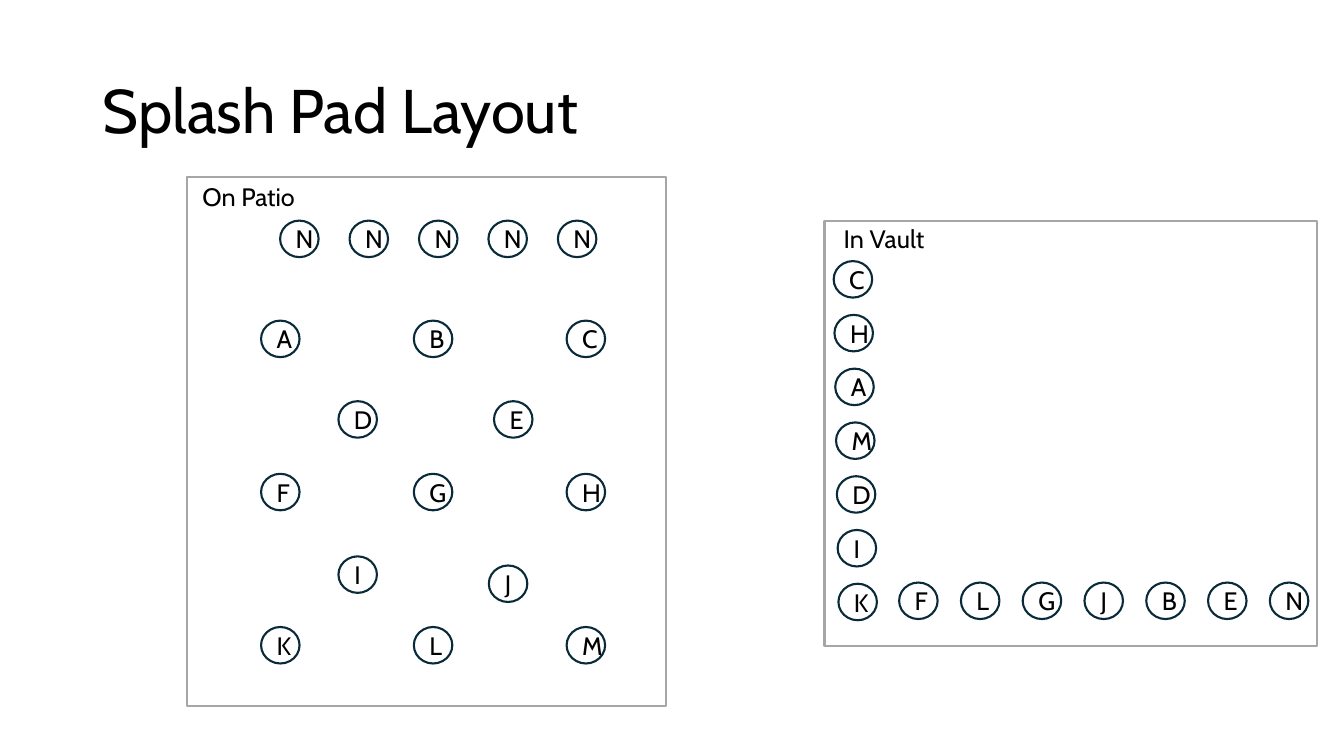
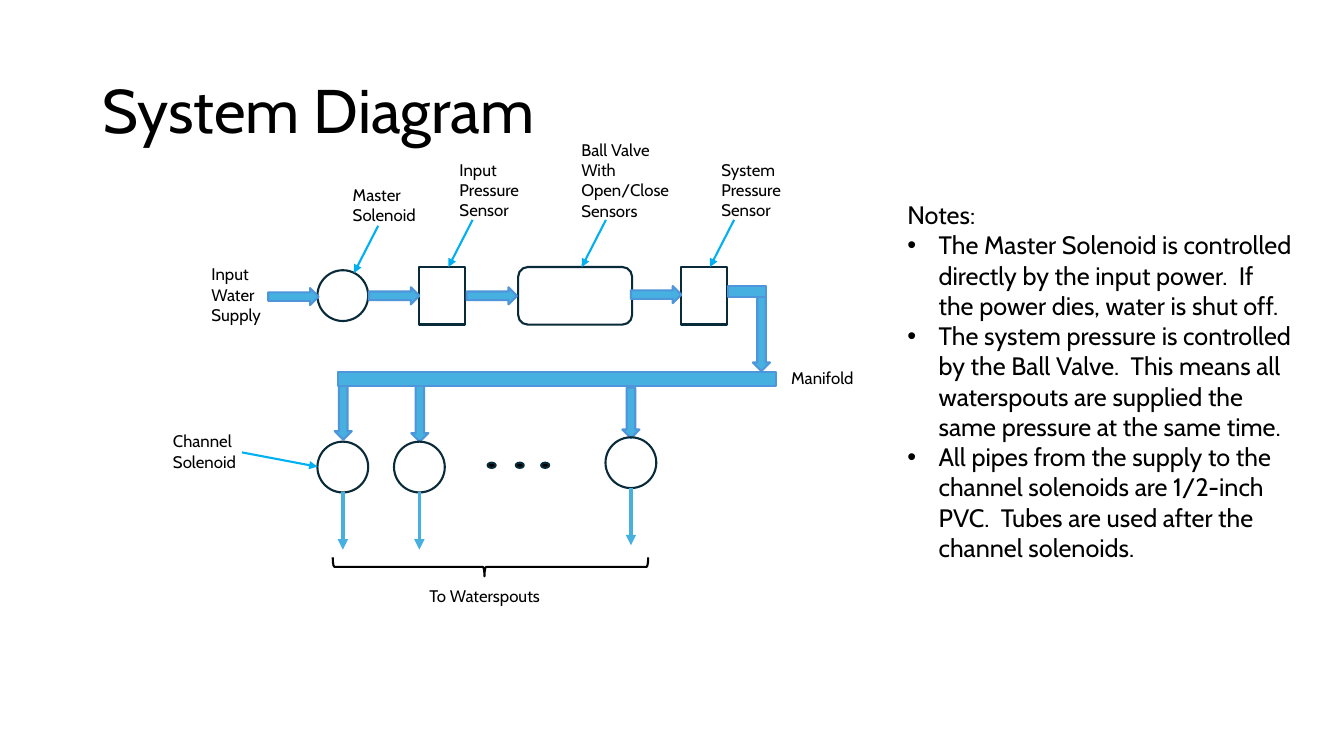
import pptx
import pptx.dml.color
import pptx.enum.shapes
import pptx.enum.text
import pptx.oxml
import pptx.oxml.ns
import pptx.util

Cm = pptx.util.Cm
Pt = pptx.util.Pt
KIND = pptx.enum.shapes.MSO_SHAPE
ALIGN = pptx.enum.text.PP_ALIGN
ANCHOR = pptx.enum.text.MSO_ANCHOR
color = pptx.dml.color.RGBColor.from_string

FONT = "Cabin"
BLACK, NAVY, GREY = "000000", "092A39", "A6A6A6"
WATER, WATER_EDGE, LEADER = "46B1E1", "4E95D9", "00B0F0"
PIPE = {"fill": WATER, "line": WATER_EDGE}


def write(frame, paragraphs, size, align=ALIGN.LEFT, **spacing):
    """Fill a text frame with one run per paragraph in the deck's font."""
    for number, words in enumerate(paragraphs):
        paragraph = frame.add_paragraph() if number else frame.paragraphs[0]
        run = paragraph.add_run()
        run.text = words
        run.font.name, run.font.size = FONT, Pt(size)
        run.font.color.rgb = color(BLACK)
        for key, value in {"alignment": align, **spacing}.items():
            setattr(paragraph, key, value)


def draw(slide, kind, x, y, width, height, fill=None, line=NAVY, turn=0, letter=None):
    """Add a preset shape, in centimetres, unfilled unless a fill is given."""
    shape = slide.shapes.add_shape(kind, Cm(x), Cm(y), Cm(width), Cm(height))
    shape.shadow.inherit = False
    shape.rotation = turn
    if fill:
        shape.fill.solid()
        shape.fill.fore_color.rgb = color(fill)
    else:
        shape.fill.background()
    shape.line.color.rgb = color(line)
    shape.line.width = Pt(1.5)
    if letter:
        shape.text_frame.vertical_anchor = ANCHOR.MIDDLE
        write(shape.text_frame, [letter], 18, ALIGN.CENTER)
    return shape


deck = pptx.Presentation()
deck.slide_width, deck.slide_height = Cm(33.87), Cm(19.05)

# Slides and titles
slides = []
for layout, heading in [(5, "Splash Pad Layout"), (1, "System Diagram")]:
    slide = deck.slides.add_slide(deck.slide_layouts[layout])
    title = slide.shapes.title
    place = {"left": 2.33, "top": 1.01, "width": 29.21, "height": 3.68}
    for key, value in place.items():
        setattr(title, key, Cm(value))
    title.text_frame.vertical_anchor = ANCHOR.MIDDLE
    title.text_frame.auto_size = pptx.enum.text.MSO_AUTO_SIZE.NONE
    write(title.text_frame, [heading], 44, line_spacing=0.9)
    slides.append(slide)
layout_slide, system_slide = slides

# Splash pad layout: the two areas
for area in [(4.72, 4.45, 12.07, 13.34), (20.78, 5.56, 12.42, 10.72)]:
    draw(layout_slide, KIND.RECTANGLE, *area, line=GREY)

# Rows of spouts: letters, first left, top, step right, step down
spout_rows = [
    ("NNNNN", 7.06, 5.56, 1.75, 0),
    ("ABC", 6.58, 8.08, 3.85, 0),
    ("DE", 8.53, 10.11, 3.92, 0),
    ("FGH", 6.58, 11.94, 3.85, 0),
    ("IJ", 8.53, 14.02, 3.79, 0.23),
    ("KLM", 6.58, 15.8, 3.85, 0),
    ("CHAMDIK", 21.01, 6.58, 0.02, 1.355),
    ("FLGJBEN", 22.66, 14.68, 1.557, 0),
]
for letters, left, top, step_right, step_down in spout_rows:
    for i, letter in enumerate(letters):
        draw(layout_slide, KIND.FLOWCHART_CONNECTOR, left + i * step_right,
             top + i * step_down, 0.97, 0.92, letter=letter)

# System diagram: supply line
draw(system_slide, KIND.FLOWCHART_CONNECTOR, 8, 6.81, 1.28, 1.28)
draw(system_slide, KIND.ROUNDED_RECTANGLE, 13.06, 6.73, 2.87, 1.45)
for sensor_left in (10.57, 17.17):
    draw(system_slide, KIND.RECTANGLE, sensor_left, 6.73, 1.16, 1.45)
for left, top in [(6.76, 7.26), (9.3, 7.24), (11.76, 7.24), (15.9, 7.21)]:
    draw(system_slide, KIND.RIGHT_ARROW, left, top, 1.27, 0.43, **PIPE)

# Pipes down to the manifold and on to the channels: centre, top, length
down_pipes = [(8.65, 9.68, 1.4), (10.58, 9.53, 1.6), (15.9, 9.77, 1.27),
              (19.19, 7.24, 2.11)]
for center, top, length in down_pipes:
    draw(system_slide, KIND.RIGHT_ARROW, center - length / 2,
         top + length / 2 - 0.215, length, 0.43, turn=90, **PIPE)
draw(system_slide, KIND.RECTANGLE, 8.53, 9.37, 11.02, 0.36, **PIPE)
draw(system_slide, KIND.RECTANGLE, 18.34, 7.21, 0.97, 0.28, **PIPE)

# Arrows: start, end, colour, width
arrows = [(6.1, 11.4, 8, 11.76, LEADER, 1.5)]
for x, y in [(9.53, 5.69), (11.91, 5.54), (15.27, 5.54), (18.5, 5.54)]:
    arrows.append((x, y, x - 0.61, y + 1.19, LEADER, 1.5))
for center, top in [(8.64, 11.13), (10.57, 11.13), (15.9, 11.02)]:
    draw(system_slide, KIND.FLOWCHART_CONNECTOR, center - 0.64, top, 1.28, 1.28)
    arrows.append((center, top + 1.27, center, top + 2.72, WATER, 2.5))
for x1, y1, x2, y2, ink, weight in arrows:
    arrow = system_slide.shapes.add_connector(
        pptx.enum.shapes.MSO_CONNECTOR.STRAIGHT, Cm(x1), Cm(y1), Cm(x2), Cm(y2))
    arrow.line.color.rgb = color(ink)
    arrow.line.width = Pt(weight)
    head = pptx.oxml.parse_xml(
        f'<a:tailEnd {pptx.oxml.ns.nsdecls("a")} type="triangle"/>')
    arrow.line._get_or_add_ln().append(head)
    no_shadow = pptx.oxml.parse_xml(f'<a:effectLst {pptx.oxml.ns.nsdecls("a")}/>')
    arrow._element.spPr.append(no_shadow)

for dot_left in (12.29, 13, 13.64):
    draw(system_slide, KIND.FLOWCHART_CONNECTOR, dot_left, 11.66, 0.2, 0.13, fill=BLACK)
brace = draw(system_slide, KIND.RIGHT_BRACE, 12.12, 10.31, 0.48, 7.95,
             line=BLACK, turn=90)
brace.adjustments[0], brace.adjustments[1] = 0.083, 0.519

# Labels on both slides
labels = [
    (layout_slide, 18, 4.85, 4.45, 3.2, 1.02, ["On Patio"]),
    (layout_slide, 18, 21.01, 5.51, 3.2, 1.02, ["In Vault"]),
    (system_slide, 12, 8.64, 4.52, 2.4, 1.27, ["Master", "Solenoid"]),
    (system_slide, 12, 11.33, 3.89, 2.34, 1.8, ["Input Pressure", "Sensor"]),
    (system_slide, 12, 14.4, 3.4, 2.74, 2.31, ["Ball Valve", "With Open/Close Sensors"]),
    (system_slide, 12, 17.93, 3.89, 2.74, 1.8, ["System Pressure Sensor"]),
    (system_slide, 12, 4.11, 10.74, 2.74, 1.27, ["Channel Solenoid"]),
    (system_slide, 12, 5.08, 6.53, 2.16, 1.8, ["Input Water Supply"]),
    (system_slide, 12, 19.69, 9.14, 2.4, 0.76, ["Manifold"]),
    (system_slide, 12, 10.57, 14.63, 4.65, 0.76, ["To Waterspouts"]),
]
for slide, size, left, top, width, height, lines in labels:
    label = slide.shapes.add_textbox(Cm(left), Cm(top), Cm(width), Cm(height))
    label.text_frame.word_wrap = True
    write(label.text_frame, lines, size)

# Notes
notes = system_slide.placeholders[1]
place = {"left": 22.61, "top": 4.9, "width": 10.21, "height": 11.02}
for key, value in place.items():
    setattr(notes, key, Cm(value))
notes.text_frame.auto_size = pptx.enum.text.MSO_AUTO_SIZE.NONE
write(notes.text_frame, [
    "Notes:",
    "The Master Solenoid is controlled directly by the input power.  If the power "
    "dies, water is shut off.",
    "The system pressure is controlled by the Ball Valve.  This means all "
    "waterspouts are supplied the same pressure at the same time.",
    "All pipes from the supply to the channel solenoids are 1/2-inch PVC.  Tubes "
    "are used after the channel solenoids.",
], 18, space_before=Pt(0))
for number, paragraph in enumerate(notes.text_frame.paragraphs):
    indent = Cm(0.79) if number else 0
    properties = paragraph._p.get_or_add_pPr()
    properties.set("marL", str(indent))
    properties.set("indent", str(-indent))
    bullet = 'buChar {} char="•"' if number else "buNone {}"
    properties.append(pptx.oxml.parse_xml(
        f'<a:{bullet.format(pptx.oxml.ns.nsdecls("a"))}/>'))

deck.save("out.pptx")
